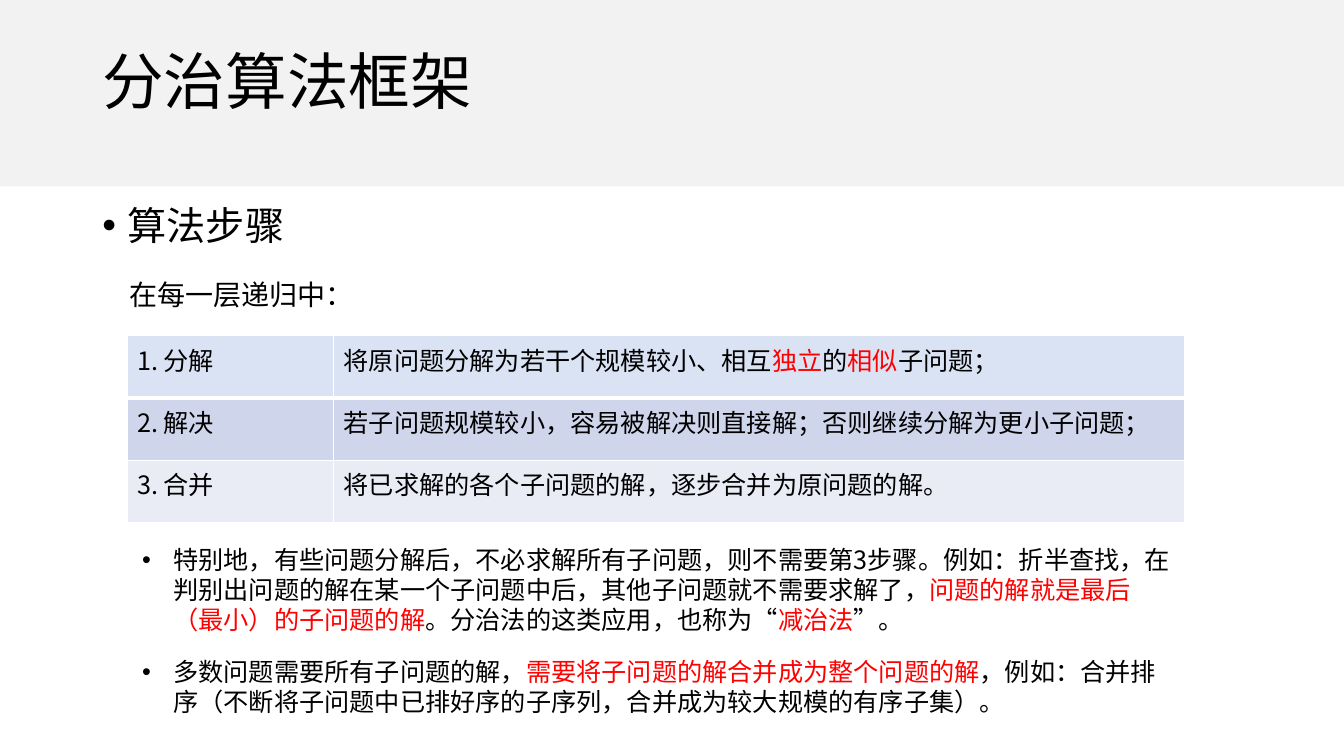
from dataclasses import dataclass

from lxml.etree import SubElement
from pptx import Presentation
from pptx.dml.color import RGBColor
from pptx.enum.shapes import MSO_SHAPE
from pptx.enum.text import MSO_ANCHOR
from pptx.oxml import parse_xml
from pptx.oxml.ns import nsdecls, qn
from pptx.util import Cm, Pt

FONT = "Noto Sans CJK SC"
COLORS = {
    "band": "F2F2F2",
    "text": "000000",
    "key": "FF0000",
    "border": "FFFFFF",
    "divide": "DAE3F3",
    "conquer": "CFD5EA",
    "combine": "E9EBF5",
}


@dataclass
class TextBlock:
    """Text in which every second part, split at '|', is a key phrase."""
    left: float
    top: float
    width: float
    height: float
    text: str
    size: int
    indent: float = 0
    line_spacing: float = 1.0
    space_before: int = 0
    anchor: MSO_ANCHOR = MSO_ANCHOR.TOP


@dataclass
class Step:
    name: str
    description: str
    fill: str


BLOCKS = [
    TextBlock(2.33, 0.3, 29.21, 3.68, "分治算法框架", 44,
              line_spacing=0.9, anchor=MSO_ANCHOR.MIDDLE),
    TextBlock(2.33, 5.08, 29.21, 1.8, "算法步骤", 28,
              indent=0.64, line_spacing=0.9, space_before=10),
    TextBlock(3.02, 6.88, 28.52, 1.11, "在每一层递归中：", 20),
    TextBlock(3.33, 13.59, 26.52, 2.57,
              "特别地，有些问题分解后，不必求解所有子问题，则不需要第3步骤。例如：折半查找，"
              "在判别出问题的解在某一个子问题中后，其他子问题就不需要求解了，"
              "|问题的解就是最后（最小）的子问题的解|。分治法的这类应用，也称为“|减治法|”。",
              18, indent=0.79),
    TextBlock(3.33, 16.41, 26.52, 1.8,
              "多数问题需要所有子问题的解，|需要将子问题的解合并成为整个问题的解|，"
              "例如：合并排序（不断将子问题中已排好序的子序列，合并成为较大规模的有序子集）。",
              18, indent=0.79),
]
STEPS = [
    Step("1. 分解", "将原问题分解为若干个规模较小、相互|独立|的|相似|子问题；", "divide"),
    Step("2. 解决", "若子问题规模较小，容易被解决则直接解；否则继续分解为更小子问题；", "conquer"),
    Step("3. 合并", "将已求解的各个子问题的解，逐步合并为原问题的解。", "combine"),
]


def color(name: str) -> RGBColor:
    return RGBColor.from_string(COLORS[name])


def write(paragraph, text: str, size: int) -> None:
    paragraph.font.size = Pt(size)
    paragraph.font.name = FONT
    paragraph.font.color.rgb = color("text")
    defaults = paragraph._p.pPr.find(qn("a:defRPr"))
    SubElement(defaults, qn("a:ea")).set("typeface", FONT)
    for index, part in enumerate(text.split("|")):
        run = paragraph.add_run()
        run.text = part
        if index % 2:
            run.font.color.rgb = color("key")


def add_bullet(paragraph, indent: float) -> None:
    properties = paragraph._p.pPr
    properties.set("marL", str(Cm(indent)))
    properties.set("indent", str(-Cm(indent)))
    defaults = properties.find(qn("a:defRPr"))
    for tag, attribute in (('buFont', 'typeface="Arial"'), ('buChar', 'char="•"')):
        defaults.addprevious(parse_xml(f"<a:{tag} {nsdecls('a')} {attribute}/>"))


def add_block(slide, block: TextBlock) -> None:
    shape = slide.shapes.add_textbox(
        Cm(block.left), Cm(block.top), Cm(block.width), Cm(block.height))
    shape.text_frame.word_wrap = True
    shape.text_frame.vertical_anchor = block.anchor
    paragraph = shape.text_frame.paragraphs[0]
    write(paragraph, block.text, block.size)
    paragraph.line_spacing = block.line_spacing
    paragraph.space_before = Pt(block.space_before)
    if block.indent:
        add_bullet(paragraph, block.indent)


def set_borders(cell, top: int, bottom: int) -> None:
    widths = {"lnL": 1, "lnR": 1, "lnT": top, "lnB": bottom}
    for position, (tag, width) in enumerate(widths.items()):
        cell._tc.get_or_add_tcPr().insert(position, parse_xml(
            f'<a:{tag} {nsdecls("a")} w="{Pt(width)}"><a:solidFill>'
            f'<a:srgbClr val="{COLORS["border"]}"/></a:solidFill></a:{tag}>'))


def add_steps(slide, steps: list[Step]) -> None:
    table = slide.shapes.add_table(
        len(steps), 2, Cm(3.2), Cm(8.46), Cm(26.65), Cm(4.71)).table
    for column, width in zip(table.columns, (5.21, 21.44)):
        column.width = Cm(width)
    for index, step in enumerate(steps):
        table.rows[index].height = Cm(1.57)
        for cell, text in zip(table.rows[index].cells, (step.name, step.description)):
            write(cell.text_frame.paragraphs[0], text, 18)
            cell.fill.solid()
            cell.fill.fore_color.rgb = color(step.fill)
            # The first row is set off by a thicker line
            set_borders(cell, 3 if index == 1 else 1, 3 if index == 0 else 1)


presentation = Presentation()
presentation.slide_width = Cm(33.87)
presentation.slide_height = Cm(19.05)
slide = presentation.slides.add_slide(presentation.slide_layouts[6])

# Title band
band = slide.shapes.add_shape(
    MSO_SHAPE.RECTANGLE, 0, 0, presentation.slide_width, Cm(4.7))
band.shadow.inherit = False
band.fill.solid()
band.fill.fore_color.rgb = color("band")
band.line.fill.background()

# Title, lead-in and remarks
for block in BLOCKS:
    add_block(slide, block)

# Table of steps
add_steps(slide, STEPS)

presentation.save("out.pptx")
